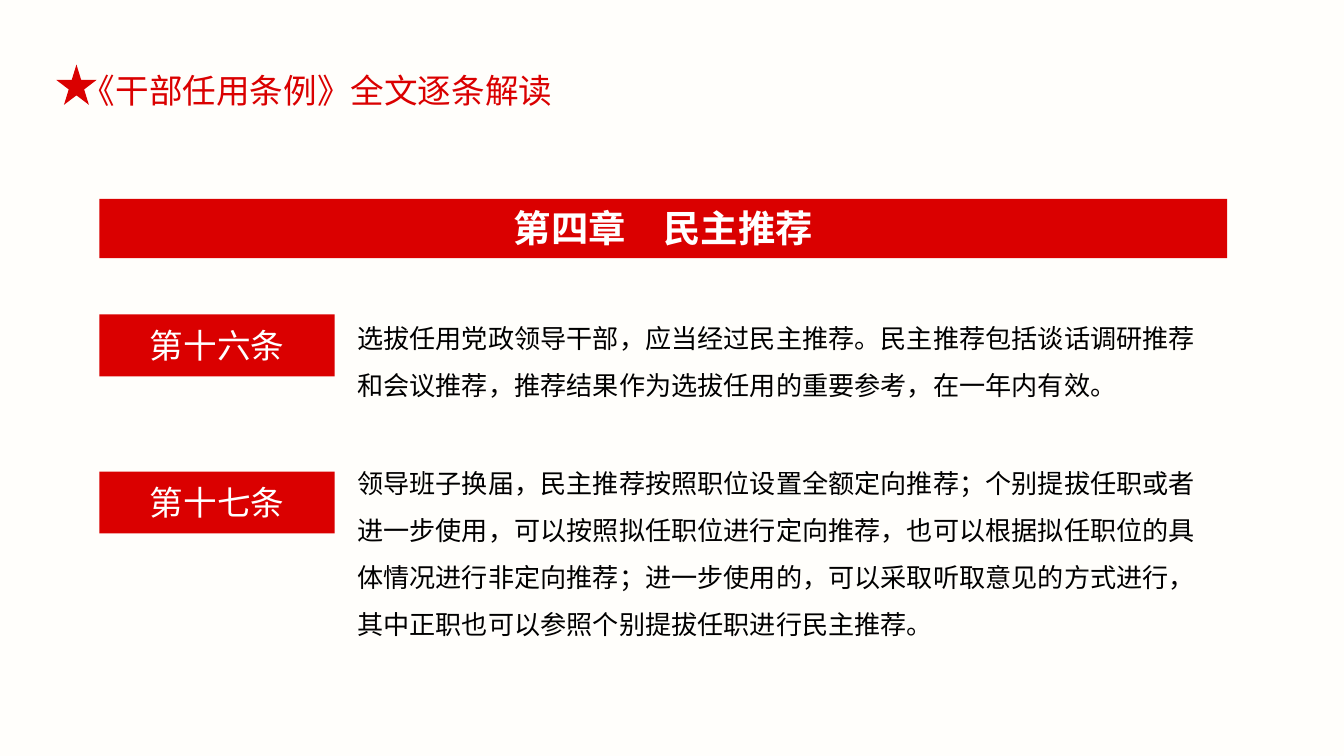
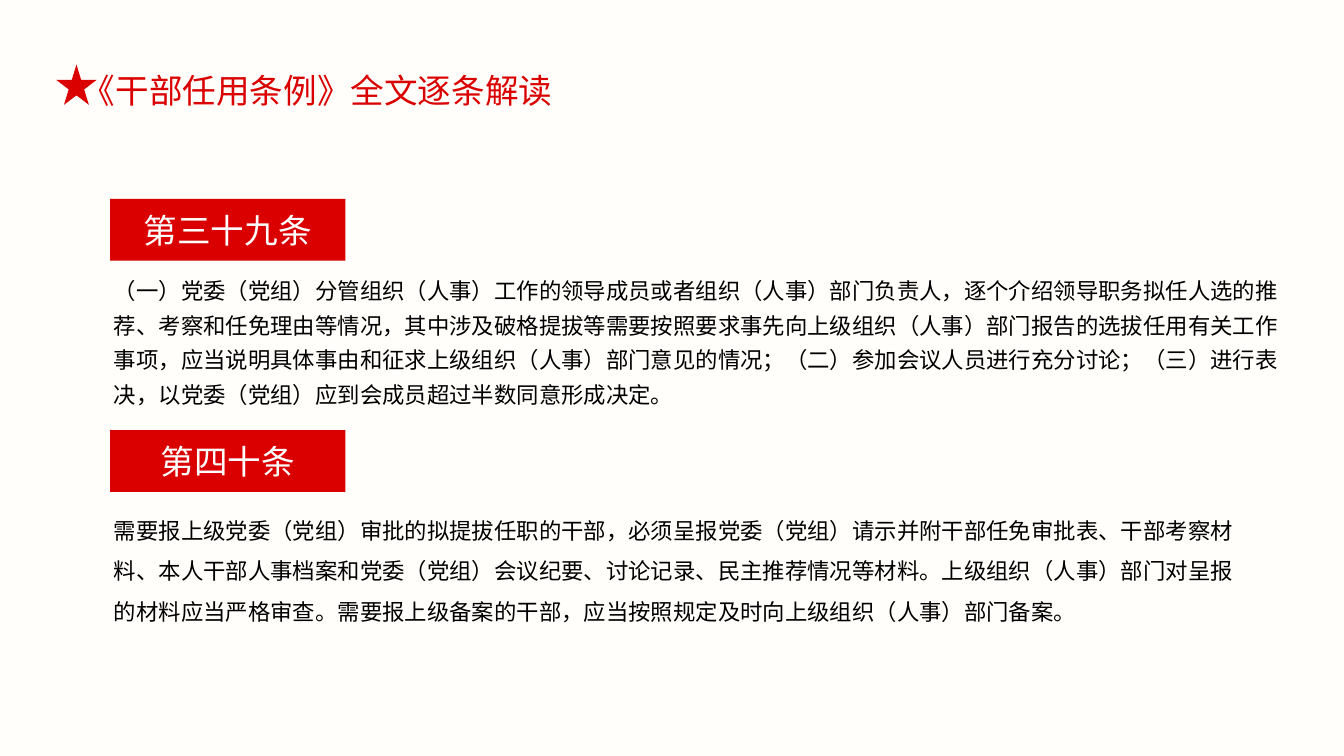
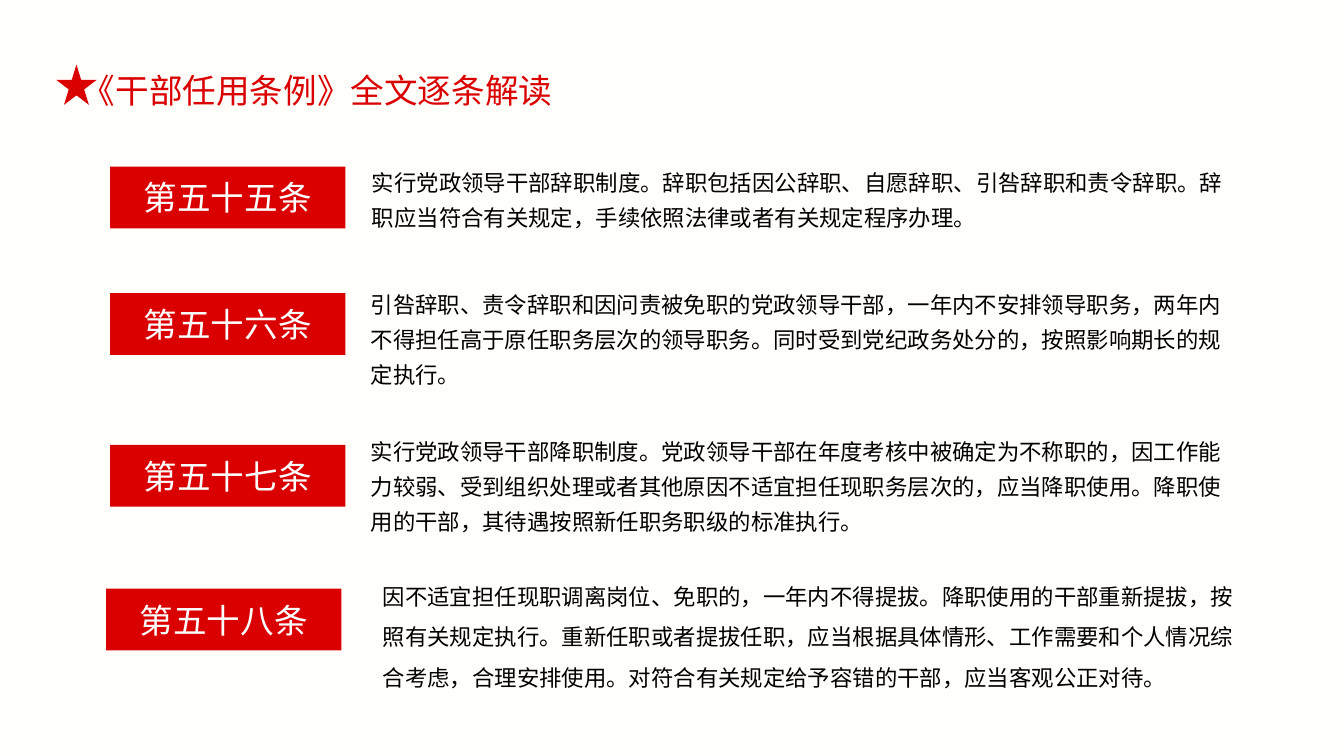
"""Build three slides that explain the cadre appointment rules article by article."""
from dataclasses import dataclass

from lxml.etree import SubElement
from pptx import Presentation
from pptx.dml.color import RGBColor as RGB
from pptx.enum.shapes import MSO_SHAPE as Shape
from pptx.enum.text import MSO_ANCHOR as Anchor, MSO_AUTO_SIZE as Auto, PP_ALIGN as Align
from pptx.oxml.ns import qn
from pptx.util import Pt


@dataclass(frozen=True)
class Theme:
    red: RGB = RGB(0xDA, 0x00, 0x00)
    paper: RGB = RGB(0xFF, 0xFE, 0xFB)
    white: RGB = RGB(0xFF, 0xFF, 0xFF)
    ink: RGB = RGB(0x00, 0x00, 0x00)
    latin: str = "Arial"
    han: str = "Noto Sans CJK SC"
    title: int = 18
    band: int = 20
    label: int = 18


theme = Theme()


def write(shape, text, size, color, face=theme.han, align=Align.LEFT, anchor=Anchor.TOP,
          fit=Auto.SHAPE_TO_FIT_TEXT, wrap=True, bold=False, lead=None):
    """Put one styled paragraph in a shape."""
    frame = shape.text_frame
    frame.word_wrap, frame.auto_size, frame.vertical_anchor = wrap, fit, anchor
    para = frame.paragraphs[0]
    para.text, para.alignment, para.line_spacing = text, align, lead
    font = para.font
    font.size, font.bold, font.name = Pt(size), bold, face
    font.color.rgb = color
    SubElement(para._p.pPr.find(qn("a:defRPr")), qn("a:ea"), typeface=theme.han)


def block(slide, kind, *place):
    """Add a plain red shape."""
    shape = slide.shapes.add_shape(kind, *map(Pt, place))
    shape.shadow.inherit = False
    shape.fill.solid()
    shape.fill.fore_color.rgb = theme.red
    shape.line.fill.background()
    return shape


pages = [
    ("第四章　民主推荐", 14, [
        ("第十六条", (53.3, 168.5), (184.3, 160.6, 477.4, 55.4), 1.5,
         "选拔任用党政领导干部，应当经过民主推荐。民主推荐包括谈话调研推荐和会议推荐，"
         "推荐结果作为选拔任用的重要参考，在一年内有效。"),
        ("第十七条", (53.3, 252.7), (184.3, 238.3, 477.4, 108.7), 1.5,
         "领导班子换届，民主推荐按照职位设置全额定向推荐；个别提拔任职或者进一步使用，"
         "可以按照拟任职位进行定向推荐，也可以根据拟任职位的具体情况进行非定向推荐；"
         "进一步使用的，可以采取听取意见的方式进行，其中正职也可以参照个别提拔任职进行民主推荐。"),
    ]),
    (None, 12, [
        ("第三十九条", (59, 106.6), (54, 140.4, 640.8, 82.8), 1.3,
         "（一）党委（党组）分管组织（人事）工作的领导成员或者组织（人事）部门负责人，"
         "逐个介绍领导职务拟任人选的推荐、考察和任免理由等情况，其中涉及破格提拔等需要按照要求"
         "事先向上级组织（人事）部门报告的选拔任用有关工作事项，应当说明具体事由和征求上级组织"
         "（人事）部门意见的情况；（二）参加会议人员进行充分讨论；（三）进行表决，"
         "以党委（党组）应到会成员超过半数同意形成决定。"),
        ("第四十条", (59, 230.4), (54, 266.4, 624.2, 69.8), 1.5,
         "需要报上级党委（党组）审批的拟提拔任职的干部，必须呈报党委（党组）请示并附干部任免审批表、"
         "干部考察材料、本人干部人事档案和党委（党组）会议纪要、讨论记录、民主推荐情况等材料。"
         "上级组织（人事）部门对呈报的材料应当严格审查。需要报上级备案的干部，"
         "应当按照规定及时向上级组织（人事）部门备案。"),
    ]),
    (None, 12, [
        ("第五十五条", (59, 89.3), (192.2, 82.8, 473, 43.2), 1.3,
         "实行党政领导干部辞职制度。辞职包括因公辞职、自愿辞职、引咎辞职和责令辞职。"
         "辞职应当符合有关规定，手续依照法律或者有关规定程序办理。"),
        ("第五十六条", (59, 157), (191.5, 148.3, 473, 64.1), 1.3,
         "引咎辞职、责令辞职和因问责被免职的党政领导干部，一年内不安排领导职务，"
         "两年内不得担任高于原任职务层次的领导职务。同时受到党纪政务处分的，按照影响期长的规定执行。"),
        ("第五十七条", (59, 238.3), (191.5, 226.8, 473, 64.1), 1.3,
         "实行党政领导干部降职制度。党政领导干部在年度考核中被确定为不称职的，因工作能力较弱、"
         "受到组织处理或者其他原因不适宜担任现职务层次的，应当降职使用。"
         "降职使用的干部，其待遇按照新任职务职级的标准执行。"),
        ("第五十八条", (56.9, 315.4), (198, 301.7, 472.3, 72.7), 1.5,
         "因不适宜担任现职调离岗位、免职的，一年内不得提拔。降职使用的干部重新提拔，"
         "按照有关规定执行。重新任职或者提拔任职，应当根据具体情形、工作需要和个人情况综合考虑，"
         "合理安排使用。对符合有关规定给予容错的干部，应当客观公正对待。"),
    ]),
]

deck = Presentation()
deck.slide_width, deck.slide_height = Pt(720), Pt(405)
back = deck.slide_master.background.fill
back.solid()
back.fore_color.rgb = theme.paper

for chapter, size, rules in pages:
    slide = deck.slides.add_slide(deck.slide_layouts[5])
    title = slide.shapes.title
    title.left, title.top, title.width, title.height = map(Pt, (36.7, 33.8, 269.3, 28.8))
    write(title, "《干部任用条例》全文逐条解读", theme.title, theme.red, theme.latin, wrap=False)
    block(slide, Shape.STAR_5_POINT, 30.2, 34.6, 21.6, 21.6)
    if chapter:
        band = block(slide, Shape.RECTANGLE, 53.3, 106.6, 604.1, 31.7)
        write(band, chapter, theme.band, theme.white, align=Align.CENTER, bold=True)
    for name, spot, area, lead, text in rules:
        label = block(slide, Shape.ROUNDED_RECTANGLE, *spot, 126, 33.1)
        label.adjustments[0] = 0
        frame = label.text_frame
        frame.margin_left = frame.margin_right = Pt(9.4)
        frame.margin_top = frame.margin_bottom = Pt(5)
        write(label, name, theme.label, theme.white, align=Align.CENTER,
              anchor=Anchor.MIDDLE, fit=Auto.NONE)
        body = slide.shapes.add_textbox(*map(Pt, area))
        write(body, text, size, theme.ink, lead=lead)

deck.save("out.pptx")
